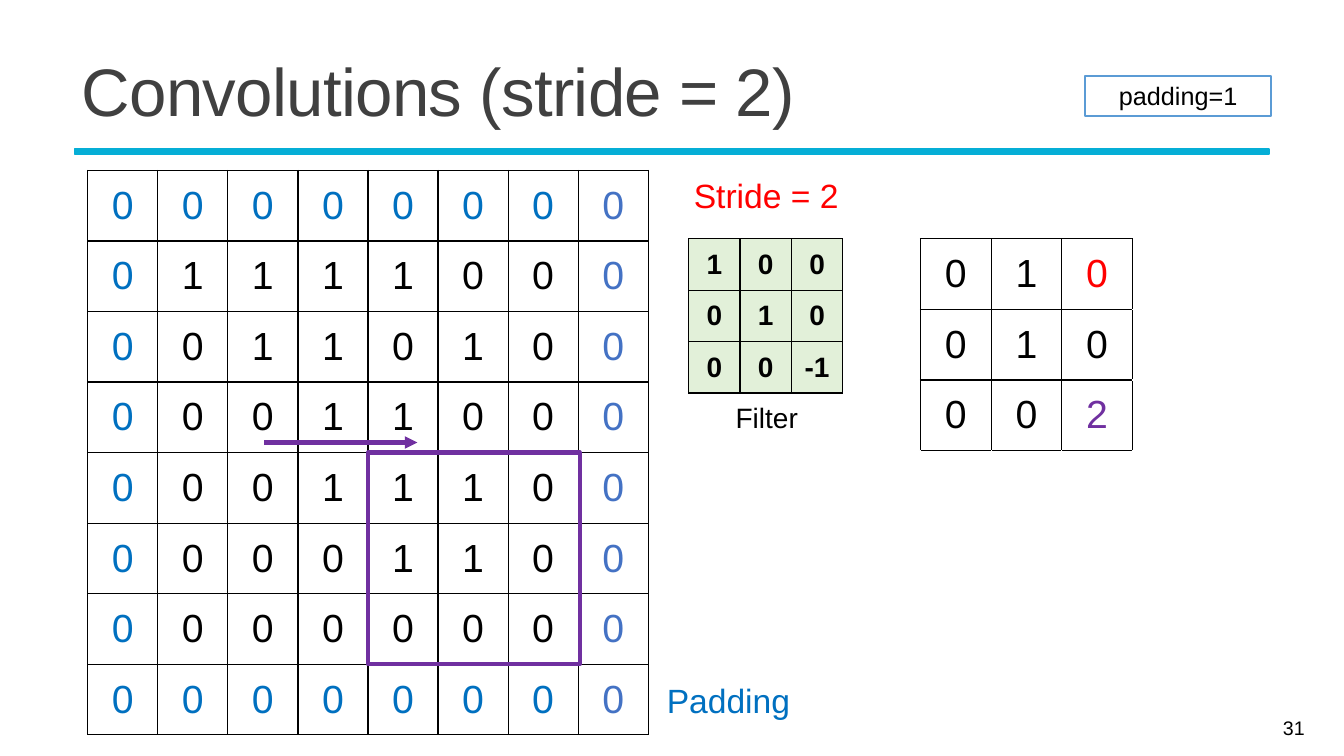
"""Build the slide on strided convolutions with padding."""
import lxml.etree
import pptx
import pptx.dml.color
import pptx.enum.shapes
import pptx.enum.text
import pptx.oxml.ns
import pptx.util

Inches = pptx.util.Inches
Pt = pptx.util.Pt
RGBColor = pptx.dml.color.RGBColor
PP_ALIGN = pptx.enum.text.PP_ALIGN
MSO_ANCHOR = pptx.enum.text.MSO_ANCHOR
MSO_AUTO_SIZE = pptx.enum.text.MSO_AUTO_SIZE
RECTANGLE = pptx.enum.shapes.MSO_SHAPE.RECTANGLE
STRAIGHT = pptx.enum.shapes.MSO_CONNECTOR.STRAIGHT
qn = pptx.oxml.ns.qn

BLACK = RGBColor(0x00, 0x00, 0x00)
CHARCOAL = RGBColor(0x40, 0x40, 0x40)
TEAL = RGBColor(0x05, 0xAE, 0xD6)
BLUE = RGBColor(0x00, 0x70, 0xC0)
INDIGO = RGBColor(0x44, 0x72, 0xC4)
SKY = RGBColor(0x5B, 0x9B, 0xD5)
RED = RGBColor(0xFF, 0x00, 0x00)
PURPLE = RGBColor(0x70, 0x30, 0xA0)
MINT = RGBColor(0xE2, 0xF0, 0xD9)

SIDES = {"a:lnL": (0, -1), "a:lnR": (0, 1), "a:lnT": (-1, 0), "a:lnB": (1, 0)}

INPUT = [
    "00000000",
    "01111000",
    "00110100",
    "00011000",
    "00011100",
    "00001100",
    "00000000",
    "00000000",
]
FILTER = [["1", "0", "0"], ["0", "1", "0"], ["0", "0", "-1"]]
OUTPUT = [["0", "1", "0", ""], ["0", "1", "0", ""], ["0", "0", "2", ""], [""] * 4, [""] * 4]


class ConvolutionSlide:
    def __init__(self, slide, font="Arial"):
        self.slide = slide
        self.font = font

    def add_text(self, frame, text, size, color, align=PP_ALIGN.CENTER, bold=False):
        paragraph = frame.paragraphs[0]
        paragraph.alignment = align
        run = paragraph.add_run()
        run.text = text
        run.font.name = self.font
        run.font.size = Pt(size)
        run.font.bold = bold
        run.font.color.rgb = color
        return run

    def title(self, text, left, top, width, height):
        heading = self.slide.shapes.title
        heading.left, heading.top = Inches(left), Inches(top)
        heading.width, heading.height = Inches(width), Inches(height)
        frame = heading.text_frame
        frame.auto_size = MSO_AUTO_SIZE.NONE
        frame.vertical_anchor = MSO_ANCHOR.MIDDLE
        run = self.add_text(frame, text, 48, CHARCOAL, PP_ALIGN.LEFT)
        run.font._element.set("spc", "-50")
        frame.paragraphs[0].line_spacing = 0.85

    def label(self, text, left, top, width, height, size, color,
              align=PP_ALIGN.CENTER, anchor=MSO_ANCHOR.TOP):
        box = self.slide.shapes.add_textbox(
            Inches(left), Inches(top), Inches(width), Inches(height))
        box.text_frame.word_wrap = True
        box.text_frame.vertical_anchor = anchor
        self.add_text(box.text_frame, text, size, color, align)

    def rectangle(self, left, top, width, height, line, weight, fill=None):
        shape = self.slide.shapes.add_shape(
            RECTANGLE, Inches(left), Inches(top), Inches(width), Inches(height))
        shape.shadow.inherit = False
        if fill is None:
            shape.fill.background()
        else:
            shape.fill.solid()
            shape.fill.fore_color.rgb = fill
        shape.line.color.rgb = line
        shape.line.width = Pt(weight)
        return shape

    def arrow(self, x1, y1, x2, y2, color, weight):
        connector = self.slide.shapes.add_connector(
            STRAIGHT, Inches(x1), Inches(y1), Inches(x2), Inches(y2))
        connector.line.color.rgb = color
        connector.line.width = Pt(weight)
        properties = connector._element.spPr
        lxml.etree.SubElement(properties.find(qn("a:ln")), qn("a:tailEnd"), type="triangle")
        lxml.etree.SubElement(properties, qn("a:effectLst"))

    def border(self, cell, side):
        line = lxml.etree.SubElement(
            cell._tc.get_or_add_tcPr(), qn(side), w=str(Pt(1)))
        fill = lxml.etree.SubElement(line, qn("a:solidFill"))
        lxml.etree.SubElement(fill, qn("a:srgbClr"), val=str(BLACK))

    def matrix(self, values, left, top, column, row, size, color_at,
               insets=(0.1, 0.05), fill=None, bold=False):
        rows, columns = len(values), len(values[0])
        table = self.slide.shapes.add_table(
            rows, columns, Inches(left), Inches(top),
            Inches(column * columns), Inches(row * rows)).table
        table.first_row = table.horz_banding = False
        for table_column in table.columns:
            table_column.width = Inches(column)
        for table_row in table.rows:
            table_row.height = Inches(row)

        def shown(r, c):
            return 0 <= r < rows and 0 <= c < columns and values[r][c] != ""

        for r in range(rows):
            for c in range(columns):
                cell = table.cell(r, c)
                for side, (down, across) in SIDES.items():
                    if shown(r, c) or shown(r + down, c + across):
                        self.border(cell, side)
                if fill is None:
                    cell.fill.background()
                else:
                    cell.fill.solid()
                    cell.fill.fore_color.rgb = fill
                cell.vertical_anchor = MSO_ANCHOR.MIDDLE
                cell.margin_left = cell.margin_right = Inches(insets[0])
                cell.margin_top = cell.margin_bottom = Inches(insets[1])
                if shown(r, c):
                    self.add_text(cell.text_frame, values[r][c], size, color_at(r, c), bold=bold)


def input_color(row, column):
    if column == 7:
        return INDIGO
    return BLUE if row in (0, 7) or column == 0 else BLACK


def output_color(row, column):
    return {(0, 2): RED, (2, 2): PURPLE}.get((row, column), BLACK)


def main():
    deck = pptx.Presentation()
    deck.slide_width, deck.slide_height = Inches(13.33), Inches(7.5)
    page = ConvolutionSlide(deck.slides.add_slide(deck.slide_layouts[5]))

    page.rectangle(0.74, 1.48, 11.85, 0.05, TEAL, 1.25, fill=TEAL)
    page.title("Convolutions (stride = 2)", 0.71, 0.39, 11.94, 1.13)
    page.label("31", 11.61, 7.02, 1.43, 0.4, 14, BLACK, PP_ALIGN.RIGHT, MSO_ANCHOR.MIDDLE)

    input_left, input_top, cell_width, cell_height = 0.87, 1.69, 5.56 / 8, 0.7
    page.matrix(INPUT, input_left, input_top, cell_width, cell_height, 28, input_color)
    page.matrix(FILTER, 6.83, 2.37, 0.51, 0.51, 20, lambda r, c: BLACK,
                insets=(0.07, 0.03), fill=MINT, bold=True)
    page.label("Filter", 6.84, 3.92, 1.53, 0.44, 20, BLACK)
    page.matrix(OUTPUT, 9.13, 2.37, 0.7, 0.7, 28, output_color)

    page.label("Padding", 6.51, 6.7, 1.43, 0.5, 24, BLUE)
    page.label("Stride = 2", 6.72, 1.69, 1.76, 0.5, 24, RED)
    padding_note = page.rectangle(10.76, 0.75, 1.85, 0.4, SKY, 1.5)
    padding_note.text_frame.vertical_anchor = MSO_ANCHOR.TOP
    page.add_text(padding_note.text_frame, "padding=1", 18, BLACK)

    page.rectangle(input_left + 4 * cell_width, input_top + 4 * cell_height, 2.1, 2.1, PURPLE, 3)
    page.arrow(2.62, 4.39, 4.14, 4.39, PURPLE, 3)

    deck.save("out.pptx")


if __name__ == "__main__":
    main()
